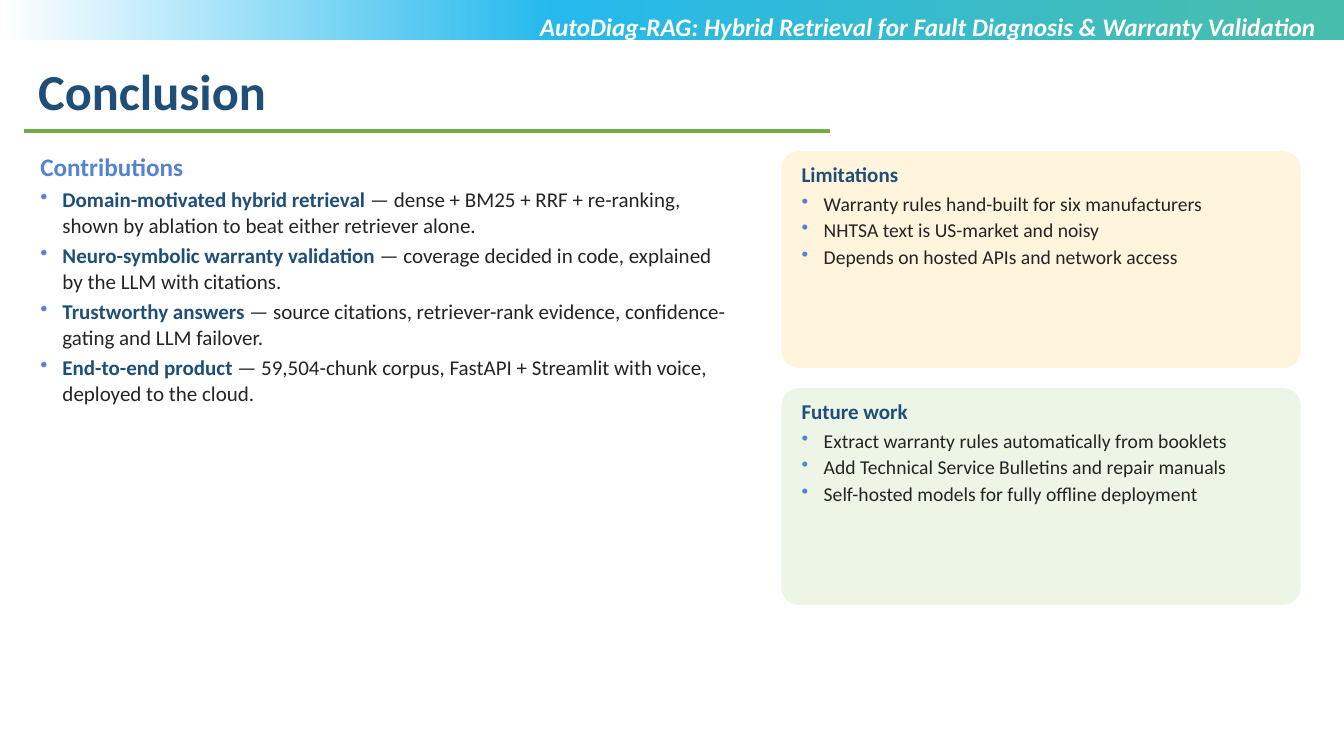
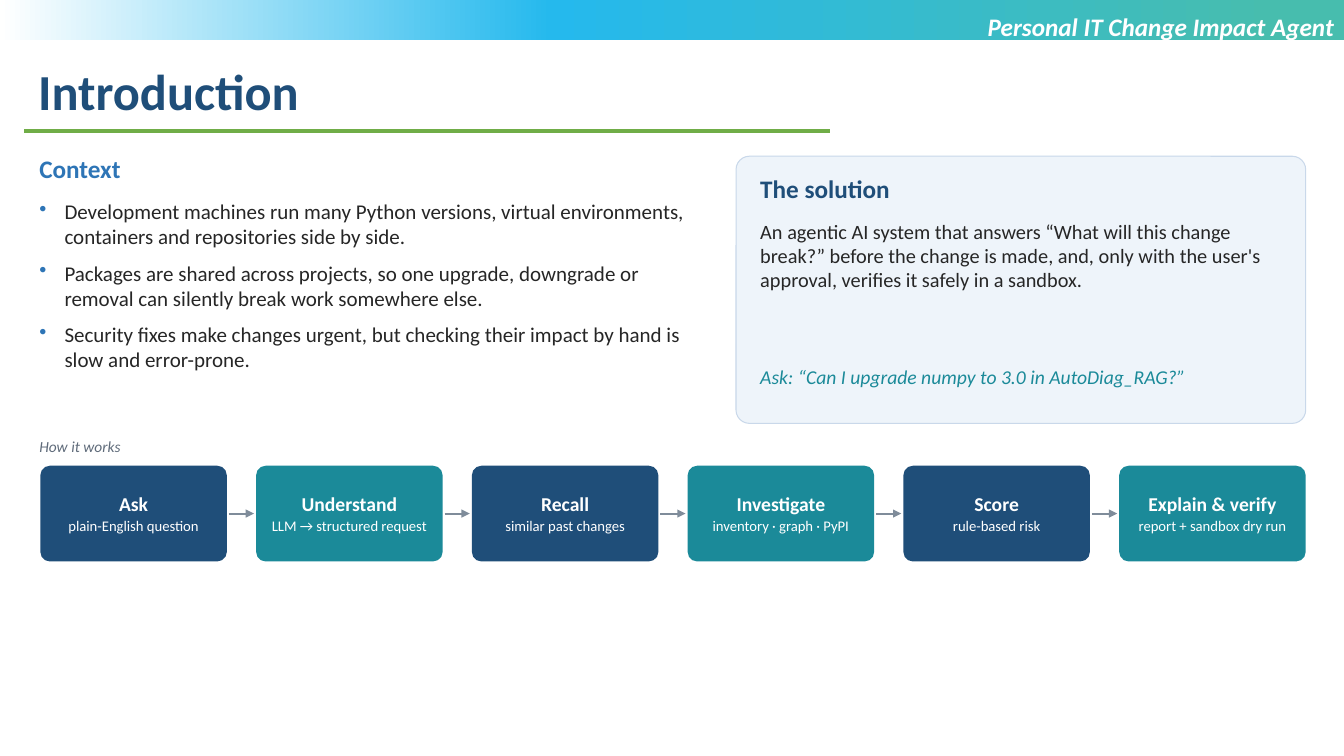
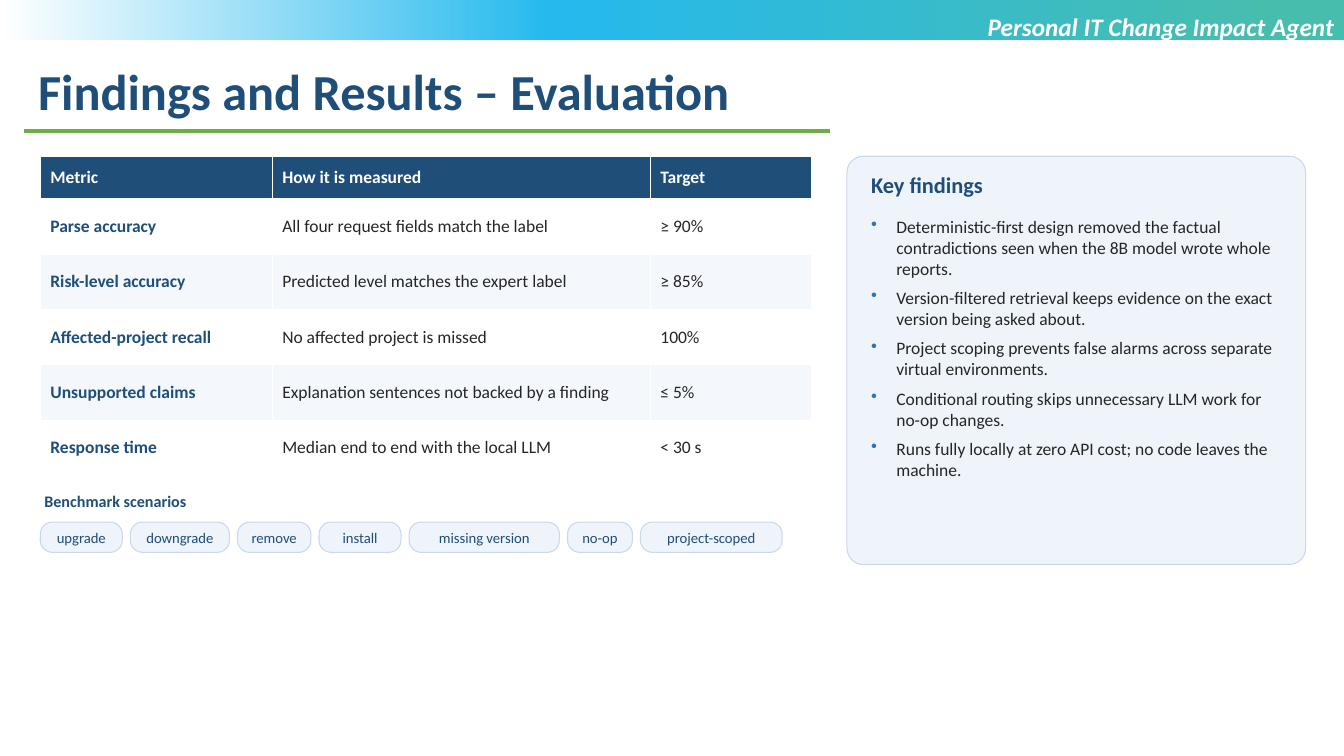
import copy

import pptx
import pptx.dml.color
import pptx.enum.shapes
import pptx.enum.text
import pptx.oxml
import pptx.oxml.ns
import pptx.util

Inches = pptx.util.Inches
Pt = pptx.util.Pt
qn = pptx.oxml.ns.qn
SHAPE = pptx.enum.shapes.MSO_SHAPE
ALIGN = pptx.enum.text.PP_ALIGN
ANCHOR = pptx.enum.text.MSO_ANCHOR

FONT = "Calibri"
C = {
    "navy": "1F4E79", "teal": "1B8A99", "blue": "2E75B6", "soft_blue": "5583D1",
    "green": "70AD47", "white": "FFFFFF", "ink": "262626", "ink_dark": "242424",
    "grey": "5F6B7A", "arrow": "7F8C9A", "panel": "EEF4FA", "edge": "C9D8EA",
    "cream": "FFF4DC", "mint": "ECF5E6", "stripe": "F4F8FC",
}
BAND_STOPS = [(0.05, "47BDAE"), (0.59, "25B9ED"), (1.0, "FFFFFF")]
SMALL_INSET = (0.04, 0.02)
AGENT = "Personal IT Change Impact Agent"


def rgb(hex_code):
    return pptx.dml.color.RGBColor.from_string(hex_code)


# ---- Text ----
def add_bullet(p, color, indent):
    pPr = p._p.get_or_add_pPr()
    pPr.set("marL", str(Inches(indent)))
    pPr.set("indent", str(-Inches(indent)))
    clr = pptx.oxml.parse_xml(
        '<a:buClr xmlns:a="http://schemas.openxmlformats.org/drawingml/2006/main">'
        f'<a:srgbClr val="{color}"/></a:buClr>')
    char = pptx.oxml.parse_xml(
        '<a:buChar xmlns:a="http://schemas.openxmlformats.org/drawingml/2006/main" char="•"/>')
    pPr.extend([clr, char])


def add_text(tf, text, size=15, color="ink", bold=False, italic=False,
             align=ALIGN.LEFT, after=0, bullet=None, indent=0.25, lead=None):
    """Add one paragraph; lead is a bold navy opening run."""
    p = tf.paragraphs[0]
    if p.runs:
        p = tf.add_paragraph()
    if bullet:
        add_bullet(p, C[bullet], indent)
    p.alignment = align
    p.space_after = Pt(after)
    runs = [(text, color, bold)]
    if lead:
        runs.insert(0, (lead, "navy", True))
    for words, run_color, run_bold in runs:
        r = p.add_run()
        r.text = words
        r.font.name = FONT
        r.font.size = Pt(size)
        r.font.bold = run_bold
        r.font.italic = italic
        r.font.color.rgb = rgb(C[run_color])


def set_frame(tf, inset, anchor):
    tf.word_wrap = True
    tf.vertical_anchor = anchor
    tf.margin_left = tf.margin_right = Inches(inset[0])
    tf.margin_top = tf.margin_bottom = Inches(inset[1])
    return tf


def text_frame(s, x, y, w, h, inset=SMALL_INSET, anchor=ANCHOR.TOP):
    sp = s.shapes.add_textbox(Inches(x), Inches(y), Inches(w), Inches(h))
    return set_frame(sp.text_frame, inset, anchor)


# ---- Shapes ----
def add_box(s, x, y, w, h, fill=None, line=None, radius=None):
    kind = SHAPE.RECTANGLE if radius is None else SHAPE.ROUNDED_RECTANGLE
    sp = s.shapes.add_shape(kind, Inches(x), Inches(y), Inches(w), Inches(h))
    sp.shadow.inherit = False
    if radius is not None:
        sp.adjustments[0] = radius
    if fill:
        sp.fill.solid()
        sp.fill.fore_color.rgb = rgb(C[fill])
    if line:
        sp.line.color.rgb = rgb(C[line])
        sp.line.width = Pt(0.75)
    else:
        sp.line.fill.background()
    return sp


def add_line(s, x1, x2, y, color, width, arrow=False):
    cn = s.shapes.add_connector(pptx.enum.shapes.MSO_CONNECTOR.STRAIGHT,
                                Inches(x1), Inches(y), Inches(x2), Inches(y))
    cn.line.color.rgb = rgb(C[color])
    cn.line.width = Pt(width)
    if arrow:
        ln = cn.line._get_or_add_ln()
        ln.append(ln.makeelement(qn("a:tailEnd"), {"type": "triangle"}))
    spPr = cn._element.spPr
    spPr.append(spPr.makeelement(qn("a:effectLst"), {}))


# ---- Shared slide frame ----
def add_band(s):
    sp = add_box(s, 0, 0, 13.33, 0.4)
    sp.fill.gradient()
    sp.fill.gradient_angle = 180
    gs_list = sp._element.spPr.find(".//" + qn("a:gsLst"))
    gs_list.append(copy.deepcopy(gs_list[-1]))
    for stop, (position, color) in zip(sp.fill.gradient_stops, BAND_STOPS):
        stop.position = position
        stop.color.rgb = rgb(color)


def new_slide(prs, title, header, header_right=13.33):
    s = prs.slides.add_slide(prs.slide_layouts[6])
    add_band(s)
    tf = text_frame(s, 0.28, 0.55, 11.62, 0.71, inset=(0.1, 0.05))
    add_text(tf, title, size=36, color="navy", bold=True)
    add_line(s, 0.24, 8.23, 1.3, "green", 2.25)
    tf = text_frame(s, header_right - 10.05, 0.06, 10.05, 0.71, inset=(0.1, 0.05))
    add_text(tf, header, size=18, color="white", bold=True, italic=True, align=ALIGN.RIGHT)
    return s


# ---- Conclusion ----
def contributions(s, x, y, w, h, items):
    tf = text_frame(s, x, y, w, h, inset=(0.05, 0.05))
    add_text(tf, "Contributions", size=18, color="soft_blue", bold=True, after=4)
    for lead, rest in items:
        add_text(tf, " — " + rest, lead=lead, color="ink_dark", after=4,
                 bullet="soft_blue", indent=0.22)


def note_card(s, x, y, w, h, fill, heading, items):
    add_box(s, x, y, w, h, fill=fill, radius=0.08)
    tf = text_frame(s, x + 0.2, y + 0.1, w - 0.35, h - 0.15, inset=(0, 0))
    add_text(tf, heading, color="navy", bold=True, after=4)
    for item in items:
        add_text(tf, item, size=14, color="ink_dark", bullet="soft_blue", indent=0.22,
                 after=0 if item == items[-1] else 2)


def conclusion_slide(prs):
    s = new_slide(prs, "Conclusion",
                  "AutoDiag-RAG: Hybrid Retrieval for Fault Diagnosis & Warranty Validation",
                  header_right=13.15)
    contributions(s, 0.35, 1.45, 7, 4.6, [
        ("Domain-motivated hybrid retrieval",
         "dense + BM25 + RRF + re-ranking, shown by ablation to beat either retriever alone."),
        ("Neuro-symbolic warranty validation",
         "coverage decided in code, explained by the LLM with citations."),
        ("Trustworthy answers",
         "source citations, retriever-rank evidence, confidence-gating and LLM failover."),
        ("End-to-end product",
         "59,504-chunk corpus, FastAPI + Streamlit with voice, deployed to the cloud."),
    ])
    cards = [
        ("cream", "Limitations", ["Warranty rules hand-built for six manufacturers",
                                  "NHTSA text is US-market and noisy",
                                  "Depends on hosted APIs and network access"]),
        ("mint", "Future work", ["Extract warranty rules automatically from booklets",
                                 "Add Technical Service Bulletins and repair manuals",
                                 "Self-hosted models for fully offline deployment"]),
    ]
    for i, (fill, heading, items) in enumerate(cards):
        note_card(s, 7.75, 1.5 + i * 2.35, 5.15, 2.15, fill, heading, items)


# ---- Introduction ----
def context(s, x, y, w, items):
    tf = text_frame(s, x, y, w, 0.4)
    add_text(tf, "Context", size=18, color="blue", bold=True, after=4)
    tf = text_frame(s, x, y + 0.45, w, 2.4)
    for item in items:
        add_text(tf, item, bullet="blue", after=8)


def solution_panel(s, x, y, w, h):
    add_box(s, x, y, w, h, fill="panel", line="edge", radius=0.05)
    left, width = x + 0.2, w - 0.4
    tf = text_frame(s, left, y + 0.15, width, 0.4)
    add_text(tf, "The solution", size=18, color="navy", bold=True, after=4)
    tf = text_frame(s, left, y + 0.6, width, 1.45)
    add_text(tf, "An agentic AI system that answers “What will this change break?” before the "
             "change is made, and, only with the user's approval, verifies it safely in a "
             "sandbox.", size=14.5, after=4)
    tf = text_frame(s, left, y + 2.05, width, 0.45)
    add_text(tf, "Ask: “Can I upgrade numpy to 3.0 in AutoDiag_RAG?”", size=14,
             color="teal", italic=True, after=4)


def process_row(s, x, y, w, h, steps):
    step_w = 1.85
    pitch = (w - step_w) / (len(steps) - 1)
    for i, (name, detail) in enumerate(steps):
        left = x + i * pitch
        sp = add_box(s, left, y, step_w, h, fill=("navy", "teal")[i % 2], radius=0.1)
        tf = set_frame(sp.text_frame, (0.06, 0.05), ANCHOR.MIDDLE)
        add_text(tf, name, size=14, color="white", bold=True, align=ALIGN.CENTER, after=1)
        add_text(tf, detail, size=10.5, color="white", align=ALIGN.CENTER, after=4)
        if i < len(steps) - 1:
            add_line(s, left + step_w + 0.02, left + pitch - 0.02, y + h / 2,
                     "arrow", 1.5, arrow=True)


def introduction_slide(prs):
    s = new_slide(prs, "Introduction", AGENT)
    context(s, 0.35, 1.5, 6.6, [
        "Development machines run many Python versions, virtual environments, containers "
        "and repositories side by side.",
        "Packages are shared across projects, so one upgrade, downgrade or removal can "
        "silently break work somewhere else.",
        "Security fixes make changes urgent, but checking their impact by hand is slow and "
        "error-prone.",
    ])
    solution_panel(s, 7.3, 1.55, 5.65, 2.65)
    tf = text_frame(s, 0.35, 4.32, 12.6, 0.3)
    add_text(tf, "How it works", size=11, color="grey", italic=True, after=4)
    process_row(s, 0.4, 4.62, 12.55, 0.95, [
        ("Ask", "plain-English question"),
        ("Understand", "LLM → structured request"),
        ("Recall", "similar past changes"),
        ("Investigate", "inventory · graph · PyPI"),
        ("Score", "rule-based risk"),
        ("Explain & verify", "report + sandbox dry run"),
    ])


# ---- Findings ----
def metrics_table(s, x, y, rows):
    widths = [2.3, 3.75, 1.6]
    heights = [0.42] + [0.55] * (len(rows) - 1)
    table = s.shapes.add_table(len(rows), len(widths), Inches(x), Inches(y),
                               Inches(sum(widths)), Inches(sum(heights))).table
    table.horz_banding = False
    for col, width in zip(table.columns, widths):
        col.width = Inches(width)
    for i, (row, height) in enumerate(zip(rows, heights)):
        table.rows[i].height = Inches(height)
        for j, words in enumerate(row):
            cell = table.cell(i, j)
            cell.vertical_anchor = ANCHOR.MIDDLE
            cell.margin_left = cell.margin_right = Inches(0.1)
            cell.margin_top = cell.margin_bottom = Inches(0.04)
            fill = "navy" if i == 0 else ("stripe", "white")[i % 2]
            cell.fill.solid()
            cell.fill.fore_color.rgb = rgb(C[fill])
            color = "white" if i == 0 else "navy" if j == 0 else "ink"
            add_text(cell.text_frame, words, size=12.5, color=color, bold=i == 0 or j == 0)


def scenario_chips(s, x, y, names):
    tf = text_frame(s, x, y, 4, 0.3, anchor=ANCHOR.MIDDLE)
    add_text(tf, "Benchmark scenarios", size=11.5, color="navy", bold=True, after=4)
    left = x
    for name in names:
        width = 0.22 + len(name) / 11.8  # chip width follows its label
        sp = add_box(s, left, y + 0.36, width, 0.3, fill="panel", line="edge", radius=0.4)
        tf = set_frame(sp.text_frame, (0, 0.05), ANCHOR.MIDDLE)
        add_text(tf, name, size=10.5, color="navy", align=ALIGN.CENTER)
        left += width + 0.08


def findings_panel(s, x, y, w, h, items):
    add_box(s, x, y, w, h, fill="panel", line="edge", radius=0.04)
    tf = text_frame(s, x + 0.2, y + 0.13, w - 0.4, 0.4)
    add_text(tf, "Key findings", size=16, color="navy", bold=True, after=4)
    tf = text_frame(s, x + 0.2, y + 0.57, w - 0.4, h - 0.65)
    for item in items:
        add_text(tf, item, size=12.5, bullet="blue", after=6)


def findings_slide(prs):
    s = new_slide(prs, "Findings and Results – Evaluation", AGENT)
    metrics_table(s, 0.4, 1.55, [
        ("Metric", "How it is measured", "Target"),
        ("Parse accuracy", "All four request fields match the label", "≥ 90%"),
        ("Risk-level accuracy", "Predicted level matches the expert label", "≥ 85%"),
        ("Affected-project recall", "No affected project is missed", "100%"),
        ("Unsupported claims", "Explanation sentences not backed by a finding", "≤ 5%"),
        ("Response time", "Median end to end with the local LLM", "< 30 s"),
    ])
    scenario_chips(s, 0.4, 4.82, ["upgrade", "downgrade", "remove", "install",
                                  "missing version", "no-op", "project-scoped"])
    findings_panel(s, 8.4, 1.55, 4.55, 4.05, [
        "Deterministic-first design removed the factual contradictions seen when the 8B "
        "model wrote whole reports.",
        "Version-filtered retrieval keeps evidence on the exact version being asked about.",
        "Project scoping prevents false alarms across separate virtual environments.",
        "Conditional routing skips unnecessary LLM work for no-op changes.",
        "Runs fully locally at zero API cost; no code leaves the machine.",
    ])


def main():
    prs = pptx.Presentation()
    prs.slide_width = Inches(13.33)
    prs.slide_height = Inches(7.5)
    conclusion_slide(prs)
    introduction_slide(prs)
    findings_slide(prs)
    prs.save("out.pptx")


if __name__ == "__main__":
    main()
